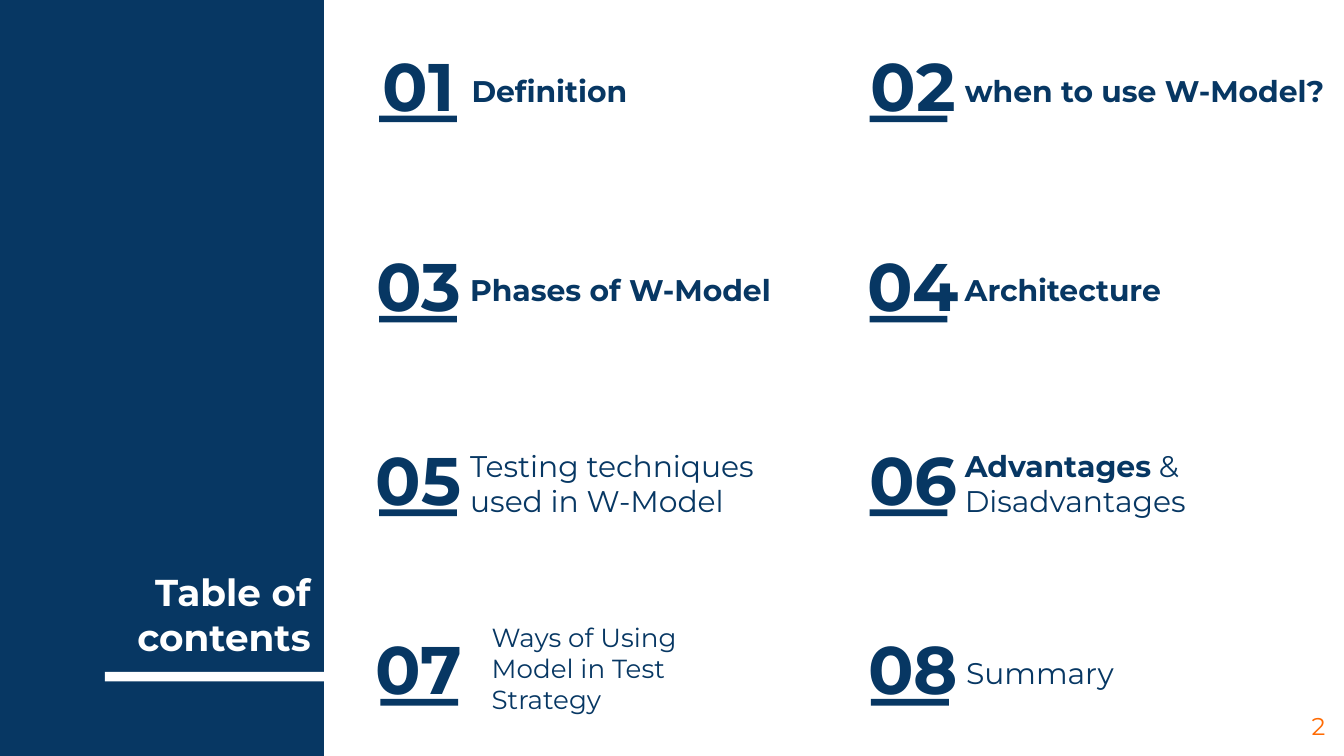
from pptx import Presentation
from pptx.dml.color import RGBColor
from pptx.enum.shapes import MSO_SHAPE
from pptx.enum.text import MSO_ANCHOR, PP_ALIGN
from pptx.util import Inches, Pt

NAVY, WHITE, ORANGE = "073763", "FFFFFF", "FF6B03"
WIDE = 10
HIGH = WIDE * 9 / 16


def paint(color, tone):
    color.rgb = RGBColor.from_string(tone)


class Deck:
    font = "Montserrat"
    pad = 0.1

    def __init__(self, wide, high):
        self.prs = Presentation()
        self.prs.slide_width, self.prs.slide_height = Inches(wide), Inches(high)
        self.slide = self.prs.slides.add_slide(self.prs.slide_layouts[6])

    def bar(self, box, tone):
        shape = self.slide.shapes.add_shape(MSO_SHAPE.RECTANGLE, *map(Inches, box))
        shape.shadow.inherit = False
        shape.fill.solid()
        paint(shape.fill.fore_color, tone)
        shape.line.fill.background()

    def text(self, box, lines, size, tone=NAVY, align=PP_ALIGN.LEFT,
             anchor=MSO_ANCHOR.MIDDLE, indent=None):
        """Each line is a list of (words, bold) runs."""
        frame = self.slide.shapes.add_textbox(*map(Inches, box)).text_frame
        pad = Inches(self.pad)
        style = {"word_wrap": True, "vertical_anchor": anchor,
                 "margin_left": pad, "margin_right": pad,
                 "margin_top": pad, "margin_bottom": pad}
        for name, value in style.items():
            setattr(frame, name, value)
        for i, line in enumerate(lines):
            para = frame.add_paragraph() if i else frame.paragraphs[0]
            para.alignment = align
            if indent:
                props = para._p.get_or_add_pPr()
                for name, value in zip(("marL", "indent"), indent):
                    props.set(name, str(Inches(value)))
            for words, bold in line:
                run = para.add_run()
                run.text = words
                look = {"name": self.font, "size": Pt(size), "bold": bold}
                for name, value in look.items():
                    setattr(run.font, name, value)
                paint(run.font.color, tone)

    def entry(self, num, left, top, box, lines, shift=0, **style):
        """Number, its underline and the topic beside it."""
        self.text((left, top, 0.91, 0.56), [[(f"{num:02}", True)]], 36,
                  align=PP_ALIGN.CENTER)
        nudge = 0.16 if num % 2 else 0.13
        self.bar((left + nudge + shift, top + 0.51, 0.58, 0.05), NAVY)
        self.text(box, lines, **{"size": 16, **style})


def main():
    deck = Deck(WIDE, HIGH)

    # Side panel with the title
    deck.bar((0, 0, 2.41, HIGH), NAVY)
    deck.text((0.68, 3.81, 1.73, 1.19), [[("Table of contents", True)]], 20,
              WHITE, PP_ALIGN.RIGHT, MSO_ANCHOR.BOTTOM)
    deck.bar((0.78, 5, 1.76, 0.07), WHITE)

    # Contents in two columns: topic box, lines, extra style
    cols = (2.66, 6.34)
    rows = (0.35, 1.84, 3.28, 4.69)
    topics = [
        ((3.41, 0.41, 1.42, 0.53), [[("Definition", True)]], {}),
        ((7.08, 0.41, 3.19, 0.53), [[("when to use W-Model?", True)]], {}),
        ((3.4, 1.89, 2.7, 0.53), [[("Phases of W-Model", True)]], {}),
        ((7.08, 1.89, 2.53, 0.53), [[("Architecture", True)]], {}),
        ((3.4, 3.33, 2.68, 0.53),
         [[("Testing techniques", False)], [("used in W-Model", False)]], {}),
        ((7.08, 3.33, 2.59, 0.53),
         [[("Advantages", True), (" &", False)], [("Disadvantages", False)]], {}),
        ((3.44, 4.45, 3.54, 1.04),
         [[("Ways of Using", False)], [("Model in Test", False)],
          [("Strategy", False)]],
         {"size": 14, "indent": (0.5, -0.38), "shift": 0.01}),
        ((7.09, 4.74, 2.59, 0.53), [[("Summary", False)]], {"shift": 0.01}),
    ]
    for i, (box, lines, style) in enumerate(topics):
        deck.entry(i + 1, cols[i % 2], rows[i // 2], box, lines, **style)

    # Page number
    deck.text((9.36, 5.19, 0.6, 0.43), [[("2", False)]], 13, ORANGE,
              PP_ALIGN.RIGHT, MSO_ANCHOR.TOP)

    deck.prs.save("out.pptx")


if __name__ == "__main__":
    main()
